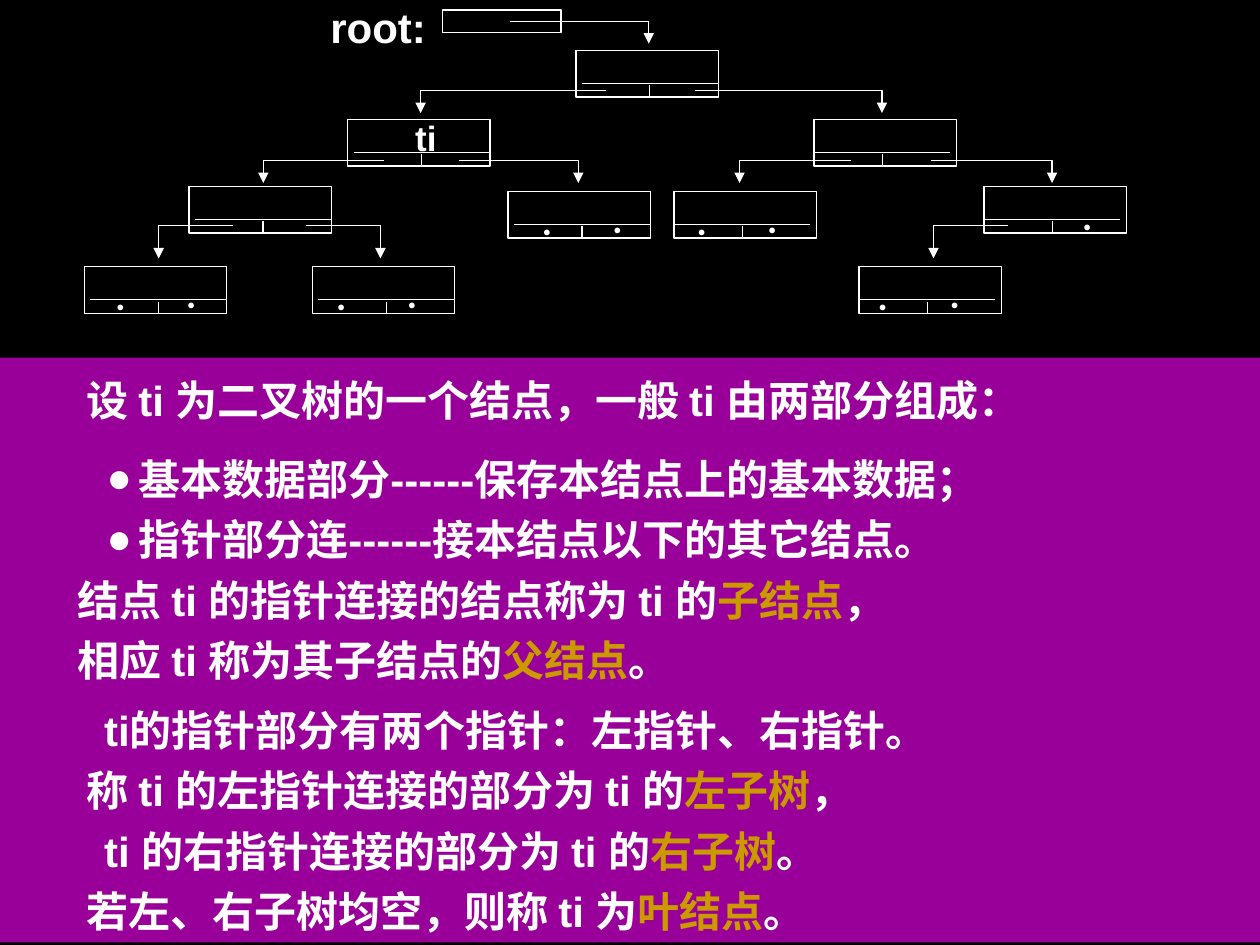
"""Build the slide on the linked nodes of a binary tree."""
from lxml.etree import SubElement
from pptx import Presentation
from pptx.dml.color import RGBColor
from pptx.enum.shapes import MSO_CONNECTOR, MSO_SHAPE
from pptx.enum.text import MSO_ANCHOR, MSO_AUTO_SIZE, PP_ALIGN
from pptx.oxml.ns import qn
from pptx.util import Cm, Pt

BLACK = RGBColor(0x00, 0x00, 0x00)
WHITE = RGBColor(0xFF, 0xFF, 0xFF)
PURPLE = RGBColor(0x99, 0x00, 0x99)
GOLD = RGBColor(0xCC, 0x99, 0x00)

NODE_W, NODE_H = 2.87, 0.94
LEFT_HALF = [
    (11.61, 1.02, ()), (7.01, 2.41, ()), (3.81, 3.76, ()),
    (10.24, 3.86, (0.64, 2.06)), (1.70, 5.38, (0.58, 2.01)),
    (6.30, 5.38, (0.43, 1.86)),
]
RIGHT_HALF = [
    (16.41, 2.41, ()), (19.84, 3.76, (1.93,)),
    (13.59, 3.86, (0.41, 1.83)), (17.32, 5.38, (0.33, 1.78)),
]
HALVES = [(LEFT_HALF, 0.12, 1.49), (RIGHT_HALF, -0.01, 1.38)]

ARROWS = [
    (0.43, 0.45, [(10.29, 13.08)]),
    (1.83, 0.45, [(12.22, 8.48), (14.02, 17.78)]),
    (3.24, 0.45, [(7.75, 5.31), (9.25, 11.66), (18.77, 21.21), (17.15, 14.91)]),
    (4.55, 0.66, [(4.70, 3.20), (6.17, 7.67), (20.32, 18.82)]),
]

PANELS = [
    ((0, 7.21, 25.4, 6.73), [
        ("设 ti 为二叉树的一个结点，一般 ti 由两部分组成：", {"left": 1.5, "after": 10.5}),
        ("基本数据部分------保存本结点上的基本数据；", {"left": 2.54, "bullet": "●"}),
        ("指针部分连------接本结点以下的其它结点。", {"left": 2.54, "bullet": "●"}),
        ("结点 ti 的指针连接的结点称为 ti 的|子结点|，", {"left": 1.32}),
        ("相应 ti 称为其子结点的|父结点|。", {"left": 1.32}),
    ]),
    ((0, 13.87, 25.4, 5.13), [
        ("ti的指针部分有两个指针：左指针、右指针。", {"left": 1.85}),
        ("称 ti 的左指针连接的部分为 ti 的|左子树|，", {"left": 1.5}),
        ("ti 的右指针连接的部分为 ti 的|右子树|。", {"left": 1.85}),
        ("若左、右子树均空，则称 ti 为|叶结点|。", {"left": 1.5}),
    ]),
]


def write(par, text, size=24, font="Arial", align=PP_ALIGN.LEFT,
          left=0, after=0, space=1.0, bullet=None):
    par.alignment = align
    par.line_spacing = space
    par.space_before, par.space_after = Pt(0), Pt(after)
    props = par._p.get_or_add_pPr()
    props.set("marL", str(Cm(left)))
    props.set("indent", str(Cm(-0.64 if bullet else 0)))
    if bullet:
        par.level = 1
        tint = SubElement(props, qn("a:buClr"))
        SubElement(tint, qn("a:srgbClr"), val=str(WHITE))
        SubElement(props, qn("a:buChar"), char=bullet)
    else:
        SubElement(props, qn("a:buNone"))
    for num, part in enumerate(text.split("|")):
        run = par.add_run()
        run.text = part
        run.font.name, run.font.size, run.font.bold = font, Pt(size), True
        run.font.color.rgb = GOLD if num % 2 else WHITE


def label(slide, text, x, y, w, h, **form):
    frame = slide.shapes.add_textbox(Cm(x), Cm(y), Cm(w), Cm(h)).text_frame
    frame.word_wrap = True
    frame.margin_left = frame.margin_right = Cm(0.03)
    frame.margin_top = frame.margin_bottom = Cm(0.03)
    write(frame.paragraphs[0], text, **form)


def outline(shape):
    shape.shadow.inherit = False
    shape.fill.background()
    shape.line.color.rgb = WHITE
    shape.line.width = Pt(0.75)


def box(slide, x, y, w, h):
    outline(slide.shapes.add_shape(MSO_SHAPE.RECTANGLE, Cm(x), Cm(y), Cm(w), Cm(h)))


def rule(slide, *ends):
    line = slide.shapes.add_connector(MSO_CONNECTOR.STRAIGHT, *map(Cm, ends))
    line.line.color.rgb = WHITE
    line.line.width = Pt(0.75)
    SubElement(line._element.spPr, qn("a:effectLst"))


def arrow(slide, x, y, end, drop):
    build = slide.shapes.build_freeform(Cm(x), Cm(y))
    build.add_line_segments([(Cm(end), Cm(y)), (Cm(end), Cm(y + drop))], close=False)
    shape = build.convert_to_shape()
    outline(shape)
    SubElement(shape.line._get_or_add_ln(), qn("a:tailEnd"), type="triangle")


def node(slide, x, y, dots, inset, tick):
    box(slide, x, y, NODE_W, NODE_H)
    rule(slide, x + inset, y + 0.66, x + inset + 2.75, y + 0.66)
    rule(slide, x + tick, y + 0.7, x + tick, y + NODE_H)
    for num, dot in enumerate(dots):
        label(slide, "·", x + dot, y + 0.33 - 0.04 * num, 0.94, 0.58,
              size=20, font="Times New Roman")


def panel(shape, place, lines):
    shape.left, shape.top, shape.width, shape.height = map(Cm, place)
    shape.fill.solid()
    shape.fill.fore_color.rgb = PURPLE
    frame = shape.text_frame
    frame.word_wrap = True
    frame.auto_size = MSO_AUTO_SIZE.NONE
    frame.vertical_anchor = MSO_ANCHOR.MIDDLE
    frame.margin_left = frame.margin_right = Cm(0.25)
    frame.margin_top = frame.margin_bottom = Cm(0.13)
    for num, (text, form) in enumerate(lines):
        par = frame.add_paragraph() if num else frame.paragraphs[0]
        write(par, text, space=1.2, **form)


def main():
    deck = Presentation()
    deck.slide_width, deck.slide_height = Cm(25.4), Cm(19.05)
    slide = deck.slides.add_slide(deck.slide_layouts[3])
    slide.background.fill.solid()
    slide.background.fill.fore_color.rgb = BLACK
    title = slide.shapes.title._element
    title.getparent().remove(title)
    for shape, (place, lines) in zip(list(slide.placeholders), PANELS):
        panel(shape, place, lines)

    label(slide, "root:", 6.63, 0, 2.26, 0.61)
    box(slide, 8.92, 0.2, 2.39, 0.46)
    for half, inset, tick in HALVES:
        for x, y, dots in half:
            node(slide, x, y, dots, inset, tick)
    for y, drop, spans in ARROWS:
        for x, end in spans:
            arrow(slide, x, y, end, drop)
    label(slide, "ti", 7.29, 2.31, 2.59, 0.91, size=20, align=PP_ALIGN.CENTER)
    deck.save("out.pptx")


if __name__ == "__main__":
    main()
